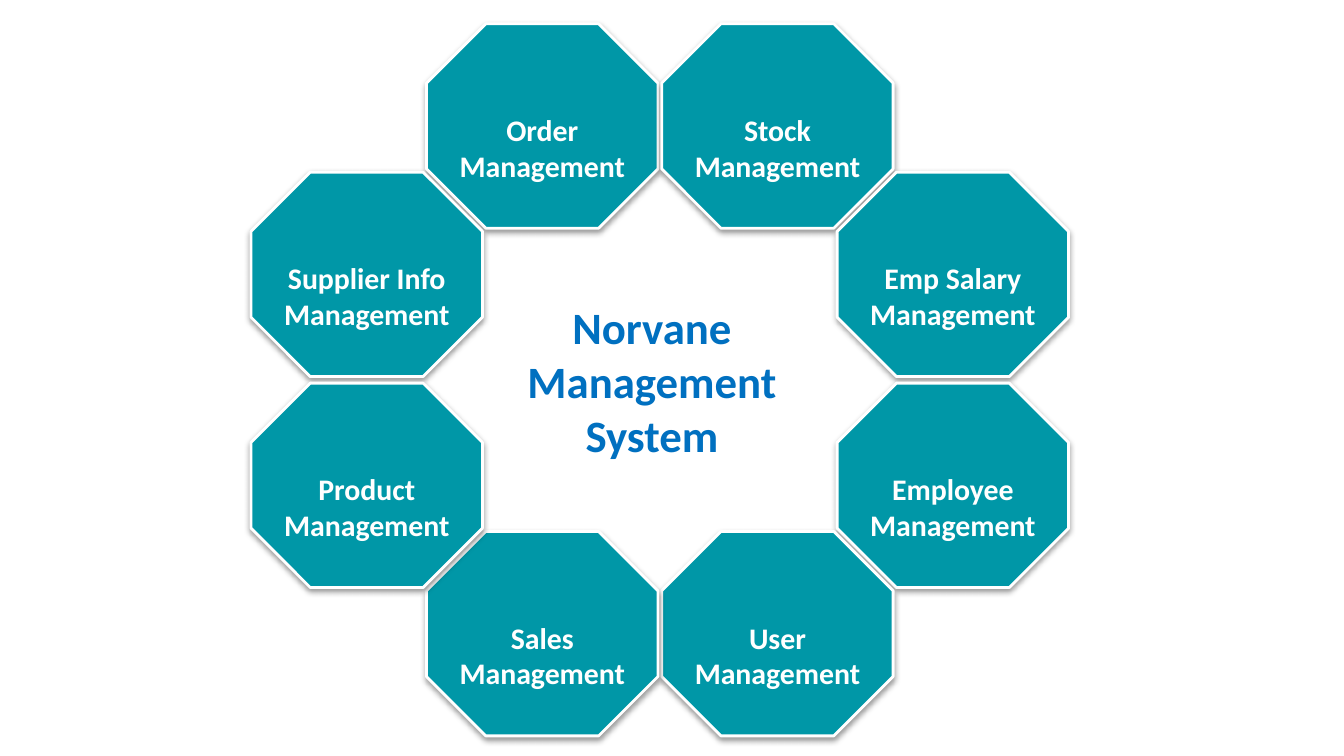
"""Draw a ring of eight management modules around the system title."""
from dataclasses import dataclass

from lxml import etree
from pptx import Presentation
from pptx.dml.color import RGBColor
from pptx.enum import shapes, text
from pptx.oxml import ns
from pptx.util import Pt

WIDE, HIGH = 124, 109.5
MID_X, MID_Y = 353.5, 203.5
NEAR_X, FAR_X = 63, 157
NEAR_Y, FAR_Y = 56.5, 136


@dataclass
class Module:
    name: str
    dx: float
    dy: float


MODULES = [
    Module("Order", -NEAR_X, -FAR_Y),
    Module("Stock", NEAR_X, -FAR_Y),
    Module("Emp Salary", FAR_X, -NEAR_Y),
    Module("Employee", FAR_X, NEAR_Y),
    Module("User", NEAR_X, FAR_Y),
    Module("Sales", -NEAR_X, FAR_Y),
    Module("Supplier Info", -FAR_X, -NEAR_Y),
    Module("Product", -FAR_X, NEAR_Y),
]


def color(code: str) -> RGBColor:
    return RGBColor.from_string(code)


def shade(shape) -> None:
    shape.shadow.inherit = False
    glow = shape._element.spPr.find(ns.qn("a:effectLst"))
    cast = etree.SubElement(glow, ns.qn("a:outerShdw"), blurRad=str(Pt(3.1)),
                            dist=str(Pt(1.6)), dir="5400000", rotWithShape="0")
    tint = etree.SubElement(cast, ns.qn("a:srgbClr"), val="000000")
    etree.SubElement(tint, ns.qn("a:alpha"), val="38000")


def write(shape, words: str, size: float, code: str) -> None:
    frame = shape.text_frame
    frame.text = words
    frame.word_wrap = True
    frame.auto_size = text.MSO_AUTO_SIZE.SHAPE_TO_FIT_TEXT
    frame.vertical_anchor = text.MSO_ANCHOR.TOP
    for para in frame.paragraphs:
        para.alignment = text.PP_ALIGN.CENTER
        para.line_spacing = 1.0
        para.space_before = Pt(0)
        for run in para.runs:
            run.font.name = "Calibri"
            run.font.size = Pt(size)
            run.font.bold = True
            run.font.color.rgb = color(code)


def draw(slide, item: Module) -> None:
    left = MID_X + item.dx - WIDE / 2
    top = MID_Y + item.dy - HIGH / 2
    tile = slide.shapes.add_shape(shapes.MSO_SHAPE.OCTAGON, Pt(left), Pt(top),
                                  Pt(WIDE), Pt(HIGH))
    tile.adjustments[0] = 0.29
    tile.fill.solid()
    tile.fill.fore_color.rgb = color("0097A7")
    tile.line.color.rgb = color("FFFFFF")
    tile.line.width = Pt(1.5)
    shade(tile)
    label = slide.shapes.add_textbox(Pt(left + 6), Pt(top + 43.5), Pt(112), Pt(46))
    write(label, f"{item.name}\nManagement", 16, "FFFFFF")


def main() -> None:
    deck = Presentation()
    deck.slide_width, deck.slide_height = Pt(720), Pt(405)
    slide = deck.slides.add_slide(deck.slide_layouts[5])
    for item in MODULES:
        draw(slide, item)
    title = slide.shapes.title
    title.left, title.top = Pt(265), Pt(157)
    title.width, title.height = Pt(168.5), Pt(94.5)
    write(title, "Norvane Management System", 24, "0070C0")
    deck.save("out.pptx")


if __name__ == "__main__":
    main()
